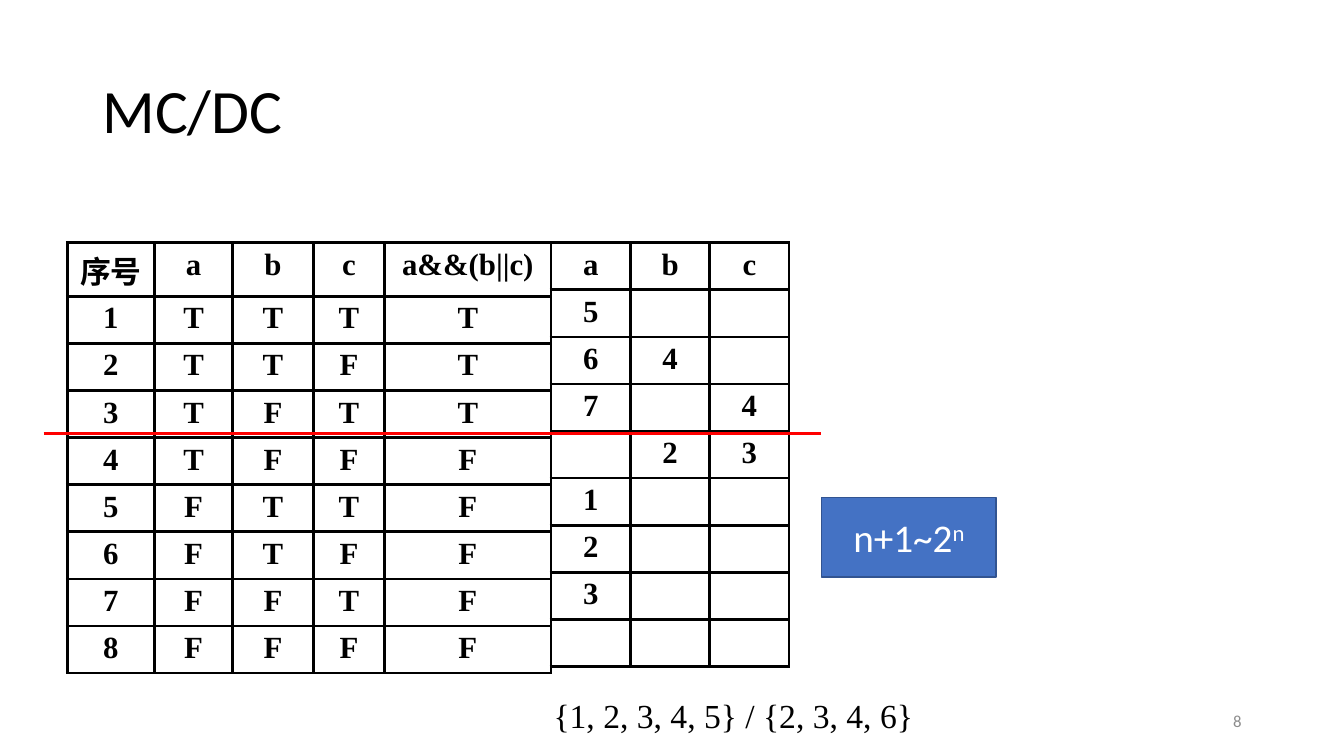
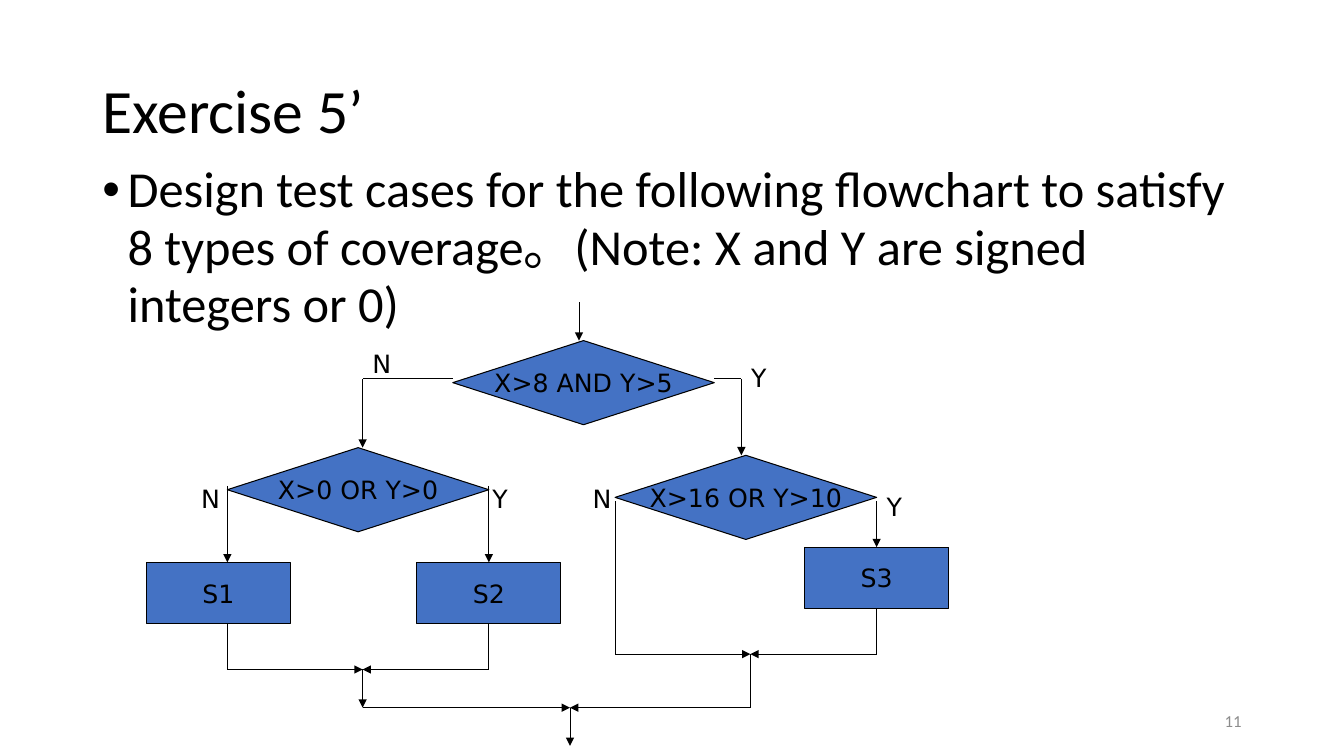
from dataclasses import dataclass
from itertools import pairwise, product

from lxml import etree
from pptx import Presentation
from pptx import util as u
from pptx.dml.color import RGBColor
from pptx.enum import shapes, text
from pptx.oxml.ns import qn

Point = tuple[float, float]


@dataclass(frozen=True)
class Style:
    font: str
    size: int
    color: str
    bold: bool = False


@dataclass(frozen=True)
class Theme:
    black: str = "000000"
    blue: str = "4472C4"
    blue_edge: str = "325491"
    red: str = "FF0000"
    title: Style = Style("Calibri", 44, "000000")
    body: Style = Style("Calibri", 36, "000000")
    number: Style = Style("Calibri", 12, "8C8C8C")
    cell: Style = Style("Times New Roman", 22, "000000", bold=True)
    caption: Style = Style("Times New Roman", 24, "000000")
    formula: Style = Style("Calibri", 28, "FFFFFF")
    flow: Style = Style("DejaVu Sans", 18, "000000")
    bullet_font: str = "Arial"
    thin: float = 0.75
    edge: float = 1
    divider: float = 2
    border: float = 2.25


@dataclass(frozen=True)
class Grid:
    """Columns and rows, measured in inches from an origin."""
    column: float
    row: float
    left: float = 0
    top: float = 0

    def point(self, at: Point) -> tuple[int, int]:
        return (u.Inches(self.left + at[0] * self.column),
                u.Inches(self.top + at[1] * self.row))

    def size(self, columns: float, rows: float) -> tuple[int, int]:
        return u.Inches(columns * self.column), u.Inches(rows * self.row)


@dataclass(frozen=True)
class Area:
    left: float
    top: float
    columns: float
    rows: float

    def on(self, grid: Grid) -> tuple[int, int, int, int]:
        return (*grid.point((self.left, self.top)), *grid.size(self.columns, self.rows))


@dataclass(frozen=True)
class Node:
    label: str
    left: float
    top: float


@dataclass(frozen=True)
class Route:
    points: tuple[Point, ...]


THEME = Theme()
WIDTH, HEIGHT = 13.33, 7.5
PAGE = Grid(WIDTH / 160, HEIGHT / 90)
FLOW = Grid(7.96 / 89, 4.4 / 58, left=1.45, top=3)

TITLE = Area(11, 4.8, 138, 17.4)
NUMBER = Area(113, 83.4, 36, 4.8)
BODY = Area(11, 18.7, 138, 22.8)
CAPTION = Area(63.3, 82.8, 48, 4.7)
FORMULA = Area(97.8, 59.2, 20.8, 9.5)

TABLE_TOP, TABLE_ROW = 28.9, 5.6
TRUTH_HEADER = 6.4
TRUTH_LEFT = 8
TRUTH_COLUMNS = (10.4, 9.3, 9.6, 8.5, 19.8)
PAIRS_LEFT = TRUTH_LEFT + sum(TRUTH_COLUMNS)
PAIRS_COLUMNS = (9.45,) * 3

DECISION_SIZE = (29, 11)
STEP_SIZE = (16, 8)
LABEL_SIZE = (4.8, 5.5)
DECISIONS = (Node("X>8 AND Y>5", 34, 5), Node("X>0 OR Y>0", 9, 19),
             Node("X>16 OR Y>10", 52, 20))
STEPS = (Node("S1", 0, 34), Node("S2", 30, 34), Node("S3", 73, 32))
LABELS = (Node("N", 24, 5.3), Node("Y", 66, 7.2), Node("N", 5, 23),
          Node("Y", 37.3, 23), Node("N", 48.4, 23), Node("Y", 81, 24))
ROUTES = (
    Route(((48, 0), (48, 5))),
    Route(((34, 10), (24, 10), (24, 19))),
    Route(((63, 10), (66, 10), (66, 20))),
    Route(((9, 24), (9, 34))),
    Route(((38, 24), (38, 34))),
    Route(((81, 26), (81, 32))),
    Route(((9, 42), (9, 48), (24, 48))),
    Route(((38, 42), (38, 48), (24, 48))),
    Route(((52, 26), (52, 46), (67, 46))),
    Route(((81, 40), (81, 46), (67, 46))),
    Route(((24, 48), (24, 53))),
    Route(((24, 53), (47, 53))),
    Route(((67, 46), (67, 53), (47, 53))),
    Route(((47, 53), (47, 58))),
)


def color(value: str) -> RGBColor:
    return RGBColor.from_string(value)


def write(paragraph, words: str, style: Style, align=text.PP_ALIGN.LEFT) -> None:
    paragraph.add_run().text = words
    paragraph.alignment = align
    font = paragraph.font
    font.name, font.size, font.bold = style.font, u.Pt(style.size), style.bold
    font.color.rgb = color(style.color)


def add_text(page, grid: Grid, area: Area, words: str, style: Style,
             align=text.PP_ALIGN.LEFT, anchor=text.MSO_ANCHOR.MIDDLE, wrap: bool = True):
    box = page.shapes.add_textbox(*area.on(grid))
    frame = box.text_frame
    frame.word_wrap, frame.vertical_anchor = wrap, anchor
    write(frame.paragraphs[0], words, style, align)
    return frame.paragraphs[0]


def add_block(page, grid: Grid, area: Area, kind, words: str, style: Style,
              edge: str, weight: float, wrap: bool = False):
    """Draw a filled, outlined shape with centred text and return its paragraph."""
    block = page.shapes.add_shape(kind, *area.on(grid))
    block.shadow.inherit = False
    block.fill.solid()
    block.fill.fore_color.rgb = color(THEME.blue)
    block.line.color.rgb = color(edge)
    block.line.width = u.Pt(weight)
    frame = block.text_frame
    frame.word_wrap, frame.vertical_anchor = wrap, text.MSO_ANCHOR.MIDDLE
    write(frame.paragraphs[0], words, style, text.PP_ALIGN.CENTER)
    return frame.paragraphs[0]


def add_line(page, grid: Grid, start: Point, end: Point, ink: str,
             weight: float, arrow: bool = False) -> None:
    line = page.shapes.add_connector(
        shapes.MSO_CONNECTOR.STRAIGHT, *grid.point(start), *grid.point(end))
    line.line.color.rgb = color(ink)
    line.line.width = u.Pt(weight)
    if arrow:
        etree.SubElement(line.line._get_or_add_ln(), qn("a:tailEnd"), type="triangle")
    etree.SubElement(line._element.spPr, qn("a:effectLst"))


def add_route(page, route: Route) -> None:
    for start, end in pairwise(route.points):
        add_line(page, FLOW, start, end, THEME.black, THEME.thin,
                 arrow=end == route.points[-1])


def add_borders(cell) -> None:
    properties = cell._tc.get_or_add_tcPr()
    for side in ("lnL", "lnR", "lnT", "lnB"):
        line = etree.SubElement(properties, qn(f"a:{side}"), w=str(u.Pt(THEME.border)))
        fill = etree.SubElement(line, qn("a:solidFill"))
        etree.SubElement(fill, qn("a:srgbClr"), val=THEME.black)


def add_grid_table(page, left: float, columns: tuple[float, ...],
                   rows: list[list[str]], header: float = TABLE_ROW) -> None:
    heights = [header] + [TABLE_ROW] * (len(rows) - 1)
    area = Area(left, TABLE_TOP, sum(columns), sum(heights))
    table = page.shapes.add_table(len(rows), len(columns), *area.on(PAGE)).table
    table.first_row = table.horz_banding = False
    for column, width in zip(table.columns, columns):
        column.width = PAGE.size(width, 0)[0]
    for row, height, words in zip(table.rows, heights, rows):
        row.height = PAGE.size(0, height)[1]
        for cell, word in zip(row.cells, words):
            add_borders(cell)
            cell.fill.background()
            if word:
                write(cell.text_frame.paragraphs[0], word, THEME.cell,
                      text.PP_ALIGN.CENTER)


def add_page(deck, title: str, number: int):
    page = deck.slides.add_slide(deck.slide_layouts[6])
    add_text(page, PAGE, TITLE, title, THEME.title).line_spacing = 0.9
    add_text(page, PAGE, NUMBER, str(number), THEME.number, text.PP_ALIGN.RIGHT)
    return page


def truth_rows() -> tuple[list[list[str]], list[list[str]]]:
    """Return the truth table and, per variable, the case that shows its effect."""
    def outcome(case: tuple[bool, ...]) -> bool:
        a, b, c = case
        return a and (b or c)

    cases = list(product((True, False), repeat=3))
    truth = [["序号", "a", "b", "c", "a&&(b||c)"]]
    pairs = [["a", "b", "c"]]
    for number, case in enumerate(cases, 1):
        truth.append([str(number)] + ["FT"[value] for value in (*case, outcome(case))])
        partners = [tuple(value != (place == flipped) for place, value in enumerate(case))
                    for flipped in range(3)]
        pairs.append([str(cases.index(other) + 1) if outcome(other) != outcome(case)
                      else "" for other in partners])
    return truth, pairs


def add_coverage_page(deck) -> None:
    page = add_page(deck, "MC/DC", 8)
    truth, pairs = truth_rows()
    add_grid_table(page, TRUTH_LEFT, TRUTH_COLUMNS, truth, TRUTH_HEADER)
    add_grid_table(page, PAIRS_LEFT, PAIRS_COLUMNS, pairs)
    add_text(page, PAGE, CAPTION, "{1, 2, 3, 4, 5} / {2, 3, 4, 6}",
             THEME.caption, text.PP_ALIGN.CENTER, wrap=False)
    add_line(page, PAGE, (5.2, 51.6), (97.8, 51.6), THEME.red, THEME.divider)
    formula = add_block(page, PAGE, FORMULA, shapes.MSO_SHAPE.RECTANGLE, "n+1~2",
                        THEME.formula, THEME.blue_edge, THEME.edge, wrap=True)
    exponent = formula.add_run()
    exponent.text = "n"
    exponent._r.get_or_add_rPr().set("baseline", "30000")


def add_bullet(paragraph, indent: int) -> None:
    properties = paragraph._p.get_or_add_pPr()
    properties.set("marL", str(indent))
    properties.set("indent", str(-indent))
    defaults = properties.find(qn("a:defRPr"))
    defaults.addprevious(etree.Element(qn("a:buFont"), typeface=THEME.bullet_font))
    defaults.addprevious(etree.Element(qn("a:buChar"), char="•"))


def add_exercise_page(deck) -> None:
    page = add_page(deck, "Exercise 5’", 11)
    task = add_text(page, PAGE, BODY,
                    "Design test cases for the following flowchart to satisfy 8 types of "
                    "coverage。(Note: X and Y are signed integers or 0)",
                    THEME.body, anchor=text.MSO_ANCHOR.TOP)
    task.line_spacing = 0.95
    add_bullet(task, u.Inches(0.25))

    for nodes, size, kind in (
            (DECISIONS, DECISION_SIZE, shapes.MSO_SHAPE.FLOWCHART_DECISION),
            (STEPS, STEP_SIZE, shapes.MSO_SHAPE.RECTANGLE)):
        for node in nodes:
            add_block(page, FLOW, Area(node.left, node.top, *size), kind, node.label,
                      THEME.flow, THEME.black, THEME.thin)
    for route in ROUTES:
        add_route(page, route)
    for label in LABELS:
        add_text(page, FLOW, Area(label.left, label.top, *LABEL_SIZE), label.label,
                 THEME.flow, anchor=text.MSO_ANCHOR.TOP, wrap=False)


def main() -> None:
    deck = Presentation()
    deck.slide_width, deck.slide_height = u.Inches(WIDTH), u.Inches(HEIGHT)
    add_coverage_page(deck)
    add_exercise_page(deck)
    deck.save("out.pptx")


if __name__ == "__main__":
    main()
